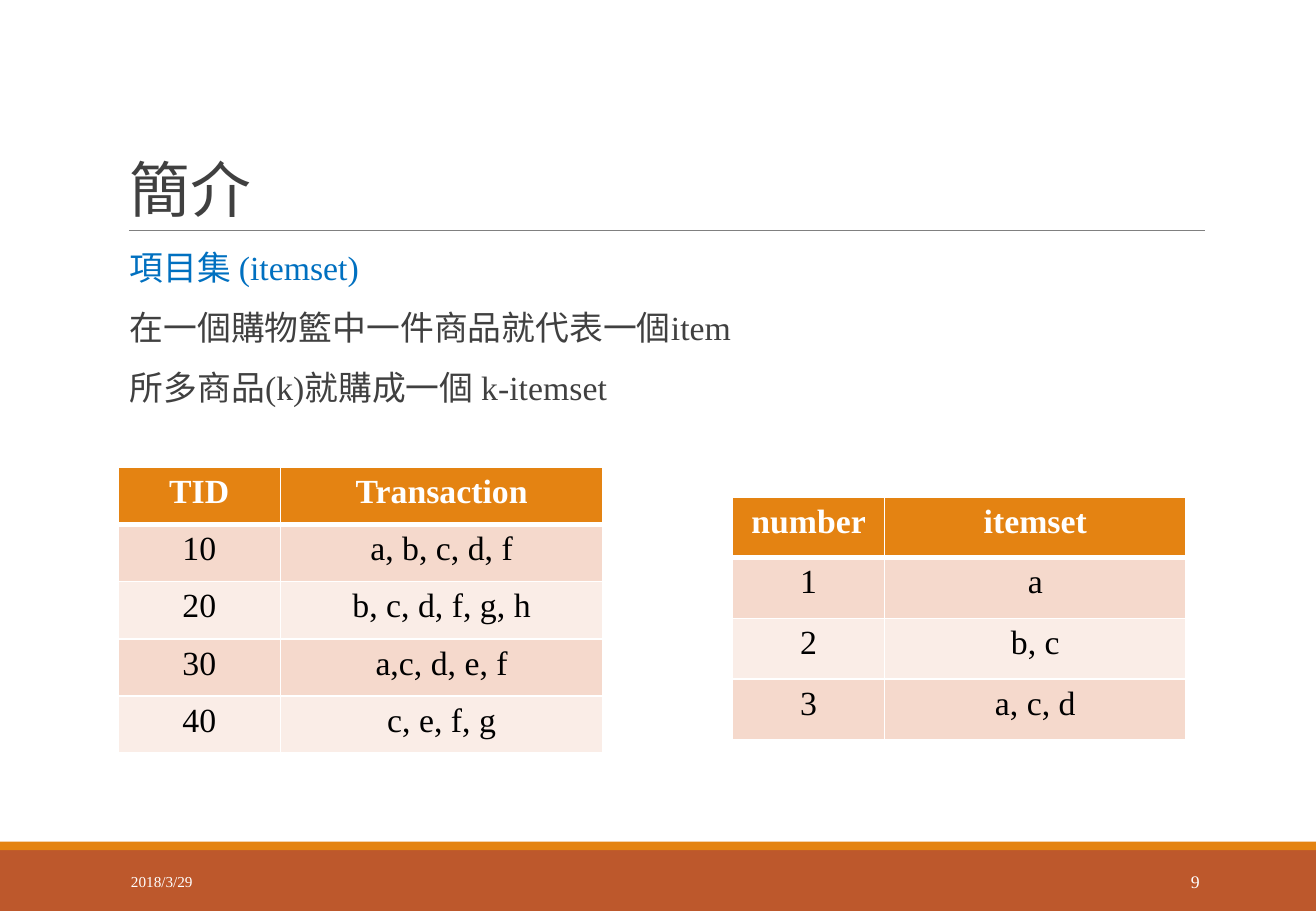
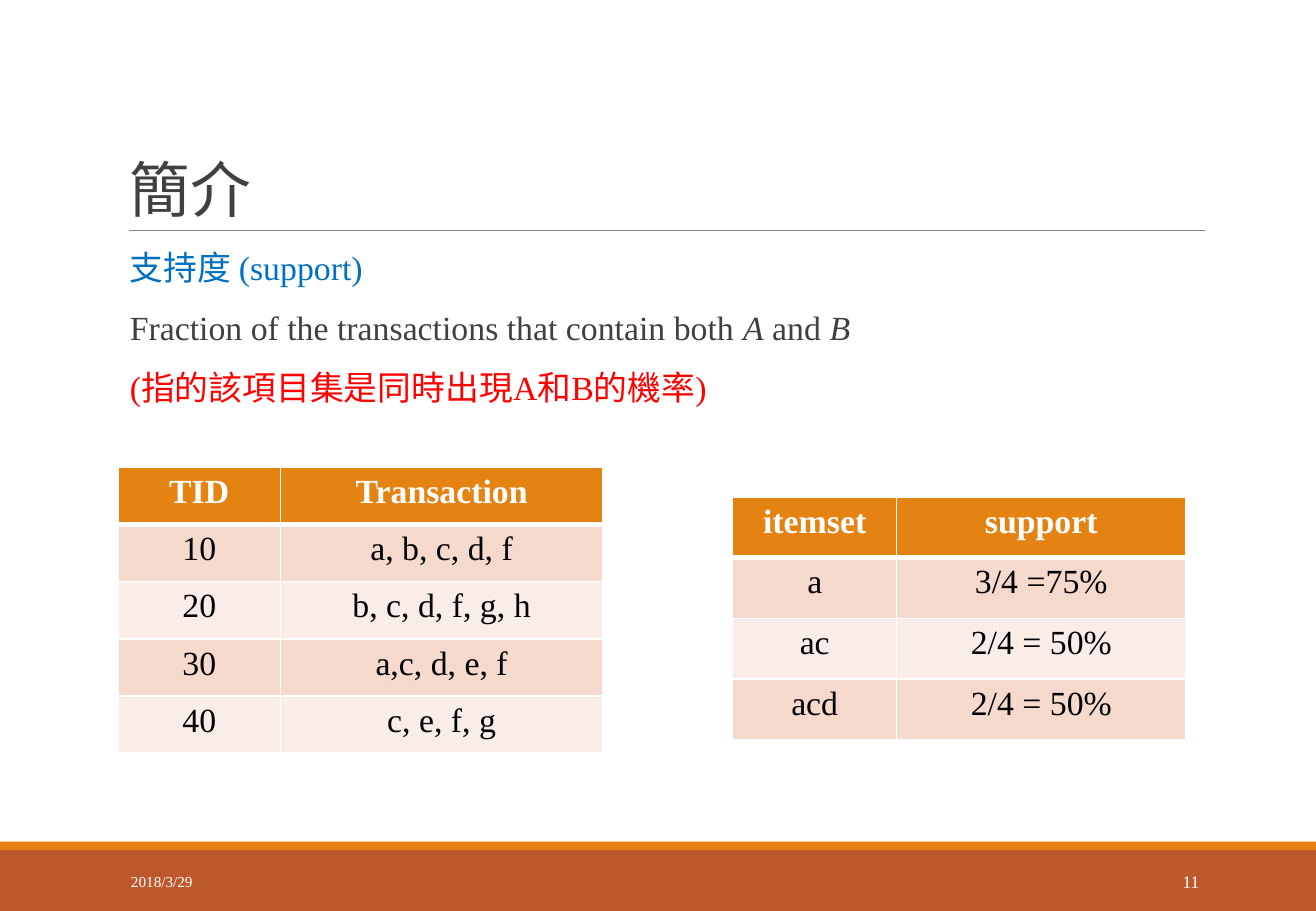
from dataclasses import dataclass

from lxml.etree import SubElement
from pptx import Presentation
from pptx.dml.color import RGBColor as RGB
from pptx.enum.shapes import MSO_CONNECTOR as Connector, MSO_SHAPE as Shape
from pptx.enum.text import MSO_ANCHOR as Anchor, PP_ALIGN as Align
from pptx.oxml.ns import qn
from pptx.util import Pt

PX = 9144
WIDTH, HEIGHT = 1083, 750


@dataclass(frozen=True)
class Theme:
    font: str = "Times New Roman"
    ink: str = "404040"
    term: str = "0070C0"
    alert: str = "FF0000"
    white: str = "FFFFFF"
    black: str = "000000"
    rule: str = "808080"
    band: str = "BD582C"
    accent: str = "E48312"
    stripes: tuple = ("FAEDE7", "F5D9CC")
    title_size: float = 36
    body_size: float = 20
    date_size: float = 9
    number_size: float = 10.5


THEME = Theme()
TITLE = "簡介"
DATE = "2018/3/29"
BANDS = [((0, 700, WIDTH, 50), THEME.band), ((0, 693, WIDTH, 7), THEME.accent)]

TRANSACTIONS = [
    ("TID", "Transaction"),
    ("10", "a, b, c, d, f"),
    ("20", "b, c, d, f, g, h"),
    ("30", "a,c, d, e, f"),
    ("40", "c, e, f, g"),
]

# Asterisks enclose italic words.
SLIDES = [
    {
        "number": "9",
        "lines": [
            ("項目集 (itemset)", THEME.term),
            ("在一個購物籃中一件商品就代表一個item", THEME.ink),
            ("所多商品(k)就購成一個 k-itemset", THEME.ink),
        ],
        "results": [("number", "itemset"), ("1", "a"), ("2", "b, c"), ("3", "a, c, d")],
        "result_columns": (125, 248),
    },
    {
        "number": "11",
        "lines": [
            ("支持度 (support)", THEME.term),
            ("Fraction of the transactions that contain both *A* and *B*", THEME.ink),
            ("(指的該項目集是同時出現A和B的機率)", THEME.alert),
        ],
        "results": [
            ("itemset", "support"),
            ("a", "3/4 =75%"),
            ("ac", "2/4 = 50%"),
            ("acd", "2/4 = 50%"),
        ],
        "result_columns": (135, 238),
    },
]


def emu(*lengths):
    return [length * PX for length in lengths]


def style(paragraph, size, color, align=Align.LEFT, bold=False):
    paragraph.alignment = align
    font = paragraph.font
    font.name, font.size, font.bold = THEME.font, Pt(size), bold
    font.color.rgb = RGB.from_string(color)


def add_text(slide, box, lines, size, anchor=Anchor.TOP, align=Align.LEFT):
    frame = slide.shapes.add_textbox(*emu(*box)).text_frame
    frame.word_wrap = True
    frame.vertical_anchor = anchor
    for index, (line, color) in enumerate(lines):
        paragraph = frame.add_paragraph() if index else frame.paragraphs[0]
        style(paragraph, size, color, align)
        for part, words in enumerate(line.split("*")):
            if words:
                run = paragraph.add_run()
                run.text = words
                if part % 2:
                    run.font.italic = True
    return frame.paragraphs


def add_border(cell, side, points):
    line = SubElement(cell._tc.get_or_add_tcPr(), qn(f"a:ln{side}"), w=str(Pt(points)))
    fill = SubElement(line, qn("a:solidFill"))
    SubElement(fill, qn("a:srgbClr"), val=THEME.white)


def add_grid(slide, left, top, columns, row_height, rows):
    box = emu(left, top, sum(columns), row_height * len(rows))
    table = slide.shapes.add_table(len(rows), len(columns), *box).table
    table.first_row = table.horz_banding = False
    for column, width in zip(table.columns, columns):
        column.width = width * PX
    for r, row in enumerate(rows):
        header = r == 0
        for c, words in enumerate(row):
            cell = table.cell(r, c)
            cell.text = words
            style(cell.text_frame.paragraphs[0], THEME.body_size,
                  THEME.white if header else THEME.black, Align.CENTER, header)
            for side, points in (("L", 1), ("R", 1), ("T", 3 if r == 1 else 1),
                                 ("B", 3 if header else 1)):
                add_border(cell, side, points)
            cell.fill.solid()
            color = THEME.accent if header else THEME.stripes[r % 2]
            cell.fill.fore_color.rgb = RGB.from_string(color)


def add_frame(slide, number):
    for box, color in BANDS:
        band = slide.shapes.add_shape(Shape.RECTANGLE, *emu(*box))
        band.shadow.inherit = False
        band.fill.solid()
        band.fill.fore_color.rgb = RGB.from_string(color)
        band.line.fill.background()
    rule = slide.shapes.add_connector(Connector.STRAIGHT, *emu(106, 190, 992, 190))
    rule.line.color.rgb = RGB.from_string(THEME.rule)
    rule.line.width = Pt(0.5)
    SubElement(rule._element.spPr, qn("a:effectLst"))
    title = add_text(slide, (97, 31, 894, 159), [(TITLE, THEME.ink)],
                     THEME.title_size, Anchor.BOTTOM)[0]
    title.line_spacing = 0.85
    add_text(slide, (98, 706, 220, 40), [(DATE, THEME.white)],
             THEME.date_size, Anchor.MIDDLE)
    add_text(slide, (880, 706, 117, 40), [(number, THEME.white)],
             THEME.number_size, Anchor.MIDDLE, Align.RIGHT)


def add_slide(deck, content):
    slide = deck.slides.add_slide(deck.slide_layouts[6])
    add_frame(slide, content["number"])
    for paragraph in add_text(slide, (97, 202, 894, 440), content["lines"], THEME.body_size):
        paragraph.line_spacing = 0.9
        paragraph.space_before, paragraph.space_after = Pt(12), Pt(2)
    add_grid(slide, 97, 385, (134, 265), 47, TRANSACTIONS)
    add_grid(slide, 603, 409, content["result_columns"], 50, content["results"])


def main():
    deck = Presentation()
    deck.slide_width, deck.slide_height = emu(WIDTH, HEIGHT)
    for content in SLIDES:
        add_slide(deck, content)
    deck.save("out.pptx")


if __name__ == "__main__":
    main()
